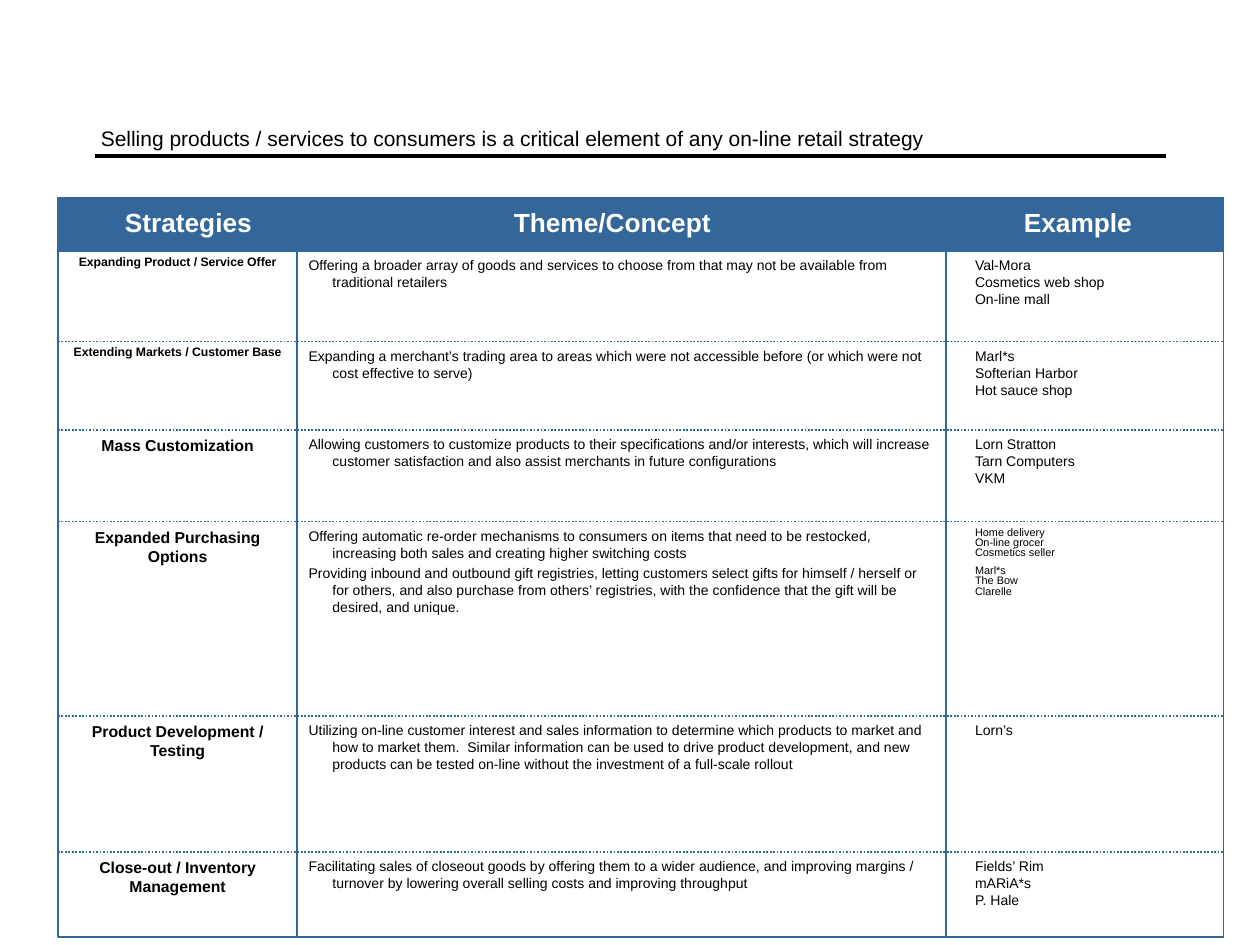
from pptx import Presentation
from pptx.dml.color import RGBColor
from pptx.enum.dml import MSO_LINE
from pptx.enum.shapes import MSO_CONNECTOR, MSO_SHAPE
from pptx.enum.text import MSO_ANCHOR, MSO_AUTO_SIZE, PP_ALIGN
from pptx.oxml.ns import qn
from pptx.util import Inches, Pt

BLACK = RGBColor(0x00, 0x00, 0x00)
WHITE = RGBColor(0xFF, 0xFF, 0xFF)
BLUE = RGBColor(0x33, 0x66, 0x99)
FONT = "Arial"
LEFT, CENTER = PP_ALIGN.LEFT, PP_ALIGN.CENTER
TOP, BOTTOM = MSO_ANCHOR.TOP, MSO_ANCHOR.BOTTOM
NO_FIT = MSO_AUTO_SIZE.NONE
STRAIGHT, RECT = MSO_CONNECTOR.STRAIGHT, MSO_SHAPE.RECTANGLE
DOTTED = MSO_LINE.ROUND_DOT
TITLE_ONLY = 5

GRID_LEFT, GRID_TOP, GRID_WIDTH, GRID_HEIGHT = 0.46, 1.57, 9.25, 5.87
GRID_RIGHT, GRID_BOTTOM = GRID_LEFT + GRID_WIDTH, GRID_TOP + GRID_HEIGHT
HEADER_HEIGHT = 0.42
DIVIDERS = (2.36, 7.51)
HANGING = 0.19

TITLE = ("Selling products / services to consumers is a critical element "
         "of any on-line retail strategy")

# Heading, left, width
HEADINGS = [("Strategies", 0.99, 1.01), ("Theme/Concept", 4.08, 1.56),
            ("Example", 7.99, 1.13)]

SMALL = dict(size=7, line_spacing=0.8)
NORMAL = dict(size=9)
PLAIN = dict(size=8)
DENSE = dict(size=6.2, line_spacing=0.8, gaps={3: 4})

# Top, strategy, strategy format, themes, examples, example format
ROWS = [
    (1.99, "Expanding Product / Service Offer", SMALL,
     ["Offering a broader array of goods and services to choose from that "
      "may not be available from traditional retailers"],
     ["Val-Mora", "Cosmetics web shop", "On-line mall"], PLAIN),
    (2.71, "Extending Markets / Customer Base", SMALL,
     ["Expanding a merchant’s trading area to areas which were not "
      "accessible before (or which were not cost effective to serve)"],
     ["Marl*s", "Softerian Harbor", "Hot sauce shop"], PLAIN),
    (3.41, "Mass Customization", NORMAL,
     ["Allowing customers to customize products to their specifications "
      "and/or interests, which will increase customer satisfaction and also "
      "assist merchants in future configurations"],
     ["Lorn Stratton", "Tarn Computers", "VKM"], PLAIN),
    (4.14, "Expanded Purchasing Options", NORMAL,
     ["Offering automatic re-order mechanisms to consumers on items that "
      "need to be restocked, increasing both sales and creating higher "
      "switching costs",
      "Providing inbound and outbound gift registries, letting customers "
      "select gifts for himself / herself or for others, and also purchase "
      "from others’ registries, with the confidence that the gift will be "
      "desired, and unique."],
     ["Home delivery", "On-line grocer", "Cosmetics seller",
      "Marl*s", "The Bow", "Clarelle"], DENSE),
    (5.68, "Product Development / Testing", NORMAL,
     ["Utilizing on-line customer interest and sales information to "
      "determine which products to market and how to market them.  Similar "
      "information can be used to drive product development, and new "
      "products can be tested on-line without the investment of a "
      "full-scale rollout"],
     ["Lorn’s"], PLAIN),
    (6.76, "Close-out / Inventory Management", NORMAL,
     ["Facilitating sales of closeout goods by offering them to a wider "
      "audience, and improving margins / turnover by lowering overall "
      "selling costs and improving throughput"],
     ["Fields’ Rim", "mARiA*s", "P. Hale"], PLAIN),
]


def write(tf, paragraphs, size=8, color=BLACK, bold=False, align=LEFT,
          hanging=0, line_spacing=None, gaps=None):
    """Fill a text frame; gaps maps a paragraph's index to its space before."""
    gaps = gaps or {}
    for i, text in enumerate(paragraphs):
        p = tf.paragraphs[0] if i == 0 else tf.add_paragraph()
        p.alignment = align
        p.space_before = Pt(gaps.get(i, 0))
        if line_spacing:
            p.line_spacing = line_spacing
        if hanging:
            pPr = p._p.get_or_add_pPr()
            pPr.set("marL", str(Inches(hanging)))
            pPr.set("indent", str(-Inches(hanging)))
        r = p.add_run()
        r.text = text
        r.font.name = FONT
        r.font.size = Pt(size)
        r.font.bold = bold
        r.font.color.rgb = color


class Page:
    def __init__(self, prs):
        self.s = prs.slides.add_slide(prs.slide_layouts[TITLE_ONLY])

    def title(self, text, x, y, w, h):
        sp = self.s.shapes.title
        sp.left, sp.top, sp.width, sp.height = map(Inches, (x, y, w, h))
        tf = self.frame(sp, (0.05, 0.05))
        tf.vertical_anchor = BOTTOM
        write(tf, [text], size=12)

    def frame(self, sp, margins, wrap=True):
        tf = sp.text_frame
        tf.word_wrap = wrap
        tf.auto_size = NO_FIT
        tf.vertical_anchor = TOP
        tf.margin_left = tf.margin_right = Inches(margins[0])
        tf.margin_top = tf.margin_bottom = Inches(margins[1])
        return tf

    def text(self, paragraphs, x, y, w, h, margins=(0.1, 0.05), wrap=True,
             **style):
        sp = self.s.shapes.add_textbox(*map(Inches, (x, y, w, h)))
        write(self.frame(sp, margins, wrap), paragraphs, **style)

    def rect(self, x, y, w, h, fill):
        sp = self.s.shapes.add_shape(RECT, *map(Inches, (x, y, w, h)))
        sp.shadow.inherit = False
        sp.fill.solid()
        sp.fill.fore_color.rgb = fill
        sp.line.color.rgb = BLUE
        sp.line.width = Pt(1)

    def line(self, x1, y1, x2, y2, color=BLUE, width=1, dash=None):
        c = self.s.shapes.add_connector(STRAIGHT,
                                        *map(Inches, (x1, y1, x2, y2)))
        c.line.color.rgb = color
        c.line.width = Pt(width)
        if dash:
            c.line.dash_style = dash
        spPr = c._element.spPr
        spPr.append(spPr.makeelement(qn("a:effectLst"), {}))


def main():
    prs = Presentation()
    prs.slide_width, prs.slide_height = Inches(10), Inches(7.5)
    page = Page(prs)

    page.title(TITLE, 0.75, 0, 8.5, 1.25)
    page.line(0.75, 1.24, 9.25, 1.24, color=BLACK, width=2)

    page.rect(GRID_LEFT, GRID_TOP, GRID_WIDTH, GRID_HEIGHT, WHITE)
    page.rect(GRID_LEFT, GRID_TOP, GRID_WIDTH, HEADER_HEIGHT, BLUE)
    for x in DIVIDERS:
        page.line(x, GRID_TOP, x, GRID_BOTTOM)
    for heading, x, w in HEADINGS:
        page.text([heading], x, 1.64, w, 0.25, margins=(0, 0), wrap=False,
                  size=15, color=WHITE, bold=True, align=CENTER)

    bottoms = [row[0] for row in ROWS[1:]] + [GRID_BOTTOM]
    for row, bottom in zip(ROWS, bottoms):
        top, strategy, strategy_style, themes, examples, example_style = row
        h = bottom - top
        page.text([strategy], GRID_LEFT, top, 1.9, h, bold=True,
                  align=CENTER, **strategy_style)
        page.text(themes, 2.35, top, 5.15, h, hanging=HANGING, gaps={1: 2})
        page.text(examples, 7.64, top, 2.16, h, hanging=HANGING,
                  **example_style)
        if bottom < GRID_BOTTOM:
            page.line(GRID_LEFT, bottom, GRID_RIGHT, bottom, dash=DOTTED)

    prs.save("out.pptx")


if __name__ == "__main__":
    main()
